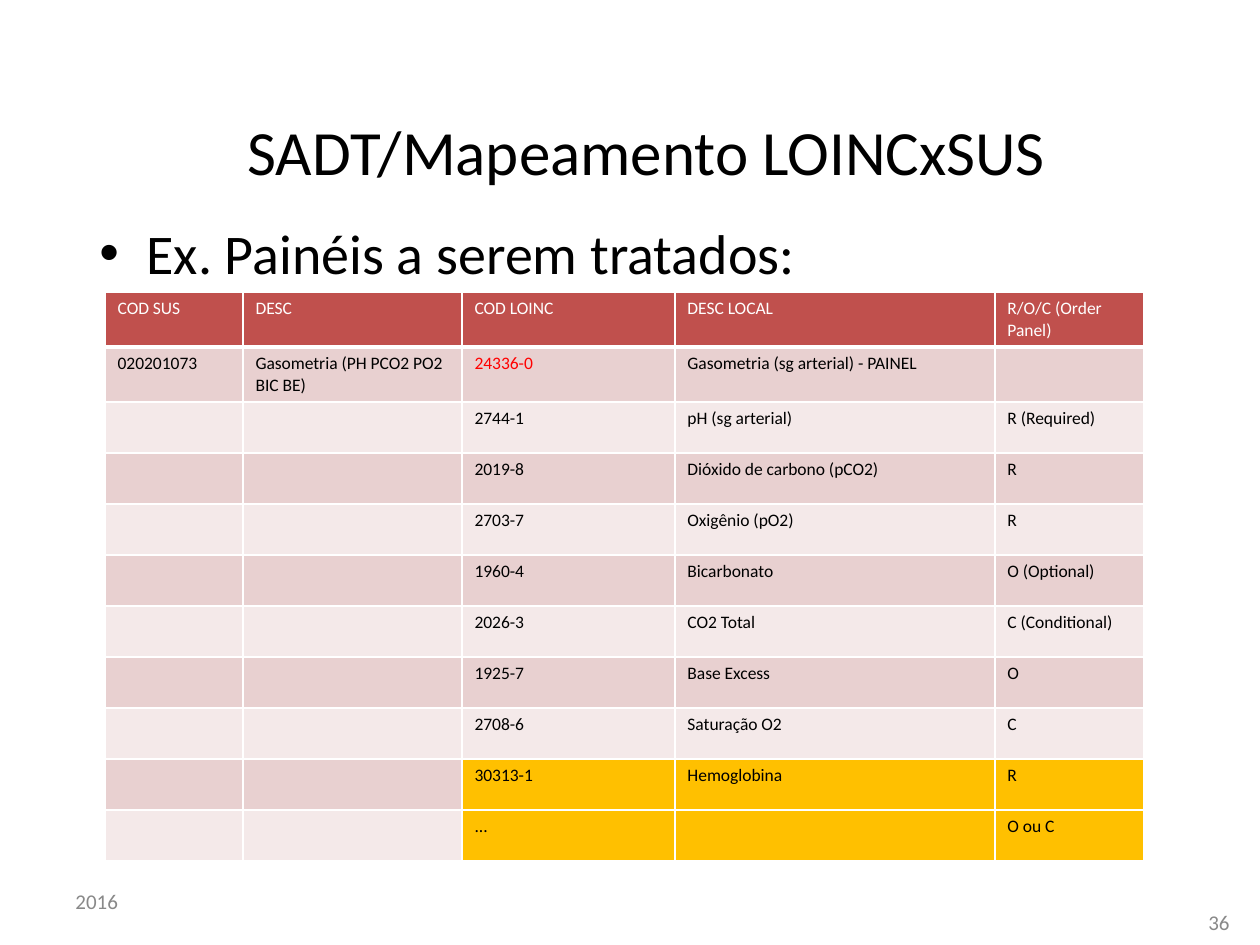
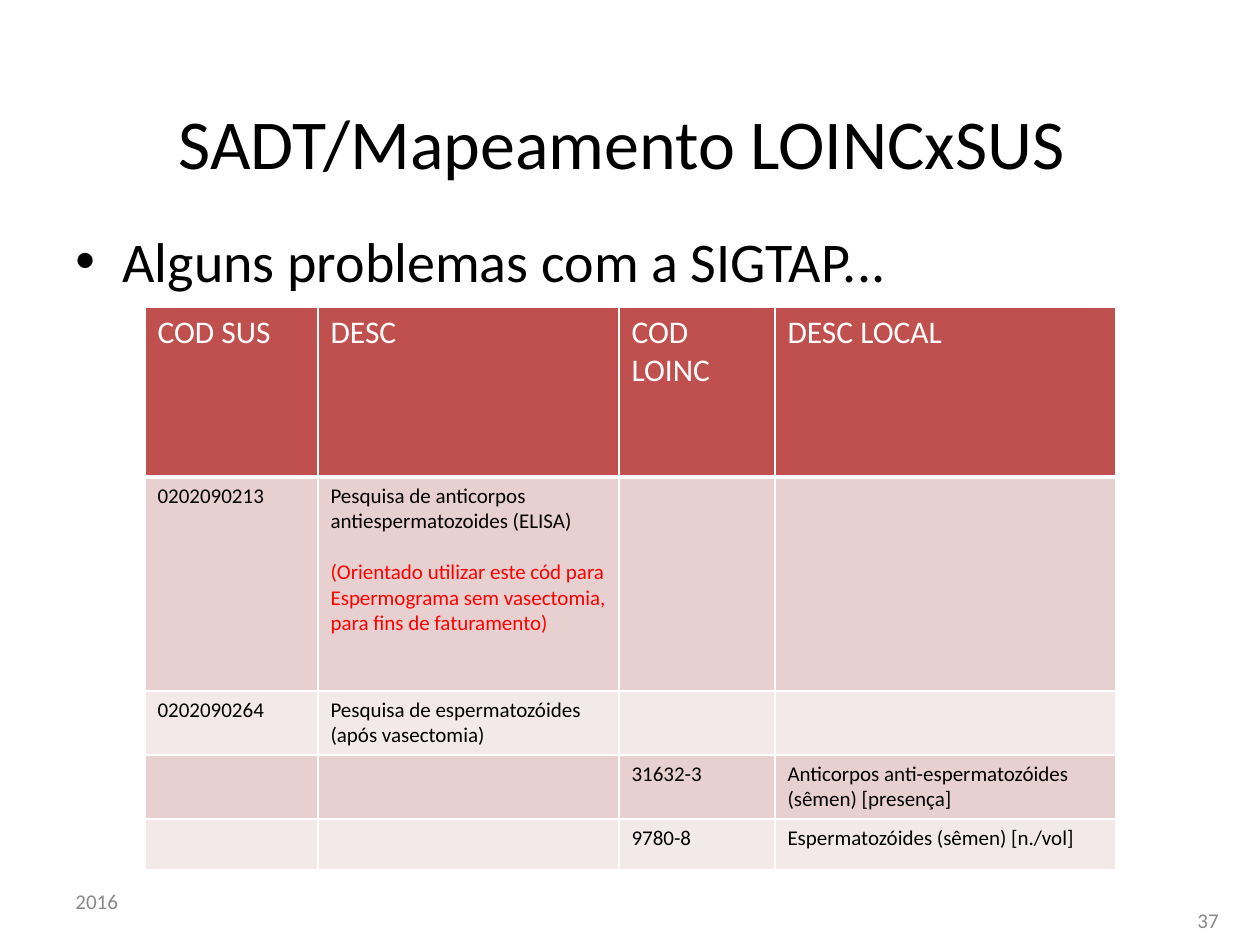
from dataclasses import dataclass

from lxml import etree
from pptx import Presentation
from pptx import util as u
from pptx.dml.color import RGBColor
from pptx.enum import text
from pptx.oxml.ns import qn

PX_PER_INCH = 126


@dataclass(frozen=True)
class Theme:
    font: str = "Calibri"
    ink: str = "000000"
    white: str = "FFFFFF"
    footer: str = "898989"
    header: str = "C0504D"
    bands: tuple = ("E8D0D0", "F4E9E9")
    highlight: str = "FFC000"
    warning: str = "FF0000"
    bullet_size: int = 32
    footer_size: int = 12
    border: int = 1
    header_border: int = 3


THEME = Theme()
TITLE = "SADT/Mapeamento LOINCxSUS "
YEAR = "2016"
BILLING_NOTE = ("(Orientado utilizar este cód para Espermograma sem vasectomia, "
                "para fins de faturamento)")
WARNINGS = {"24336-0", BILLING_NOTE}

# Boxes are (left, top, width, height) in px.
YEAR_BOX = (63, 876, 294, 50)
SLIDES = [
    {
        "title_box": (142, 102, 1023, 96), "title_size": 36,
        "bullet": "Ex. Painéis a serem tratados:", "bullet_box": (87, 212, 1134, 670),
        "number": "36", "number_box": (948, 897, 294, 50),
        "table_at": (105, 292),
        "columns": [138, 219, 213, 320, 149],
        "heights": [55, 55] + [51] * 9,
        "header_size": 10, "body_size": 10,
        "highlighted_rows": (9, 10), "highlight_from": 2,
        "rows": [
            ("COD SUS", "DESC", "COD LOINC", "DESC LOCAL", "R/O/C (Order Panel)"),
            ("020201073", "Gasometria (PH PCO2 PO2 BIC BE)", "24336-0",
             "Gasometria (sg arterial) - PAINEL", ""),
            ("", "", "2744-1", "pH (sg arterial)", "R (Required)"),
            ("", "", "2019-8", "Dióxido de carbono (pCO2)", "R"),
            ("", "", "2703-7", "Oxigênio (pO2)", "R"),
            ("", "", "1960-4", "Bicarbonato", "O (Optional)"),
            ("", "", "2026-3", "CO2 Total", "C (Conditional)"),
            ("", "", "1925-7", "Base Excess", "O"),
            ("", "", "2708-6", "Saturação O2", "C"),
            ("", "", "30313-1", "Hemoglobina", "R"),
            ("", "", "...", "", "O ou C"),
        ],
    },
    {
        "title_box": (123, 87, 1013, 108), "title_size": 40,
        "bullet": "Alguns problemas com a SIGTAP...", "bullet_box": (63, 220, 1134, 624),
        "number": "37", "number_box": (937, 895, 294, 50),
        "table_at": (145, 307),
        "columns": [173, 301, 156, 341],
        "heights": [170, 214, 64, 64, 51],
        "header_size": 18, "body_size": 12,
        "highlighted_rows": (), "highlight_from": 0,
        "rows": [
            ("COD SUS", "DESC", "COD LOINC", "DESC LOCAL"),
            ("0202090213",
             "Pesquisa de anticorpos antiespermatozoides (ELISA)\n" + BILLING_NOTE, "", ""),
            ("0202090264", "Pesquisa de espermatozóides (após vasectomia)", "", ""),
            ("", "", "31632-3", "Anticorpos anti-espermatozóides (sêmen) [presença]"),
            ("", "", "9780-8", "Espermatozóides (sêmen) [n./vol]"),
        ],
    },
]


def px(length):
    return u.Emu(round(length * u.Inches(1) / PX_PER_INCH))


def format_runs(paragraph, size, color):
    for run in paragraph.runs:
        run.font.name = THEME.font
        run.font.size = u.Pt(size)
        run.font.bold = False
        run.font.color.rgb = RGBColor.from_string(color)


def add_text(slide, box, content, size, color=THEME.ink,
             align=text.PP_ALIGN.LEFT, anchor=text.MSO_ANCHOR.MIDDLE):
    shape = slide.shapes.add_textbox(*map(px, box))
    frame = shape.text_frame
    frame.word_wrap = True
    frame.vertical_anchor = anchor
    frame.text = content
    paragraph = frame.paragraphs[0]
    paragraph.alignment = align
    format_runs(paragraph, size, color)
    return paragraph


def add_bullet(paragraph, indent=u.Inches(0.375)):
    properties = paragraph._p.get_or_add_pPr()
    properties.set("marL", str(indent))
    properties.set("indent", str(-indent))
    etree.SubElement(properties, qn("a:buFont")).set("typeface", "Arial")
    etree.SubElement(properties, qn("a:buChar")).set("char", "•")


def set_borders(cell, bottom_width):
    properties = cell._tc.get_or_add_tcPr()
    widths = {"L": THEME.border, "R": THEME.border, "T": THEME.border, "B": bottom_width}
    for side, width in widths.items():
        line = etree.SubElement(properties, qn(f"a:ln{side}"), w=str(u.Pt(width)))
        fill = etree.SubElement(line, qn("a:solidFill"))
        etree.SubElement(fill, qn("a:srgbClr"), val=THEME.white)


def cell_fill(data, row, column):
    if row == 0:
        return THEME.header
    if row in data["highlighted_rows"] and column >= data["highlight_from"]:
        return THEME.highlight
    return THEME.bands[(row - 1) % 2]


def fill_cell(cell, data, row, column):
    is_header = row == 0
    size = data["header_size"] if is_header else data["body_size"]
    set_borders(cell, THEME.header_border if is_header else THEME.border)
    cell.fill.solid()
    cell.fill.fore_color.rgb = RGBColor.from_string(cell_fill(data, row, column))
    cell.text_frame.text = data["rows"][row][column]
    for index, paragraph in enumerate(cell.text_frame.paragraphs):
        if index:
            paragraph.space_before = u.Pt(1.2 * size)
        color = THEME.white if is_header else THEME.ink
        if paragraph.text in WARNINGS:
            color = THEME.warning
        format_runs(paragraph, size, color)


def add_code_table(slide, data):
    columns, heights = data["columns"], data["heights"]
    box = (*data["table_at"], sum(columns), sum(heights))
    table = slide.shapes.add_table(len(heights), len(columns), *map(px, box)).table
    for column, width in zip(table.columns, columns):
        column.width = px(width)
    for row, height in zip(table.rows, heights):
        row.height = px(height)
    for row in range(len(heights)):
        for column in range(len(columns)):
            fill_cell(table.cell(row, column), data, row, column)


def add_mapping_slide(presentation, data):
    slide = presentation.slides.add_slide(presentation.slide_layouts[6])
    add_text(slide, data["title_box"], TITLE, data["title_size"],
             align=text.PP_ALIGN.CENTER)
    add_text(slide, YEAR_BOX, YEAR, THEME.footer_size, THEME.footer)
    add_text(slide, data["number_box"], data["number"], THEME.footer_size, THEME.footer,
             align=text.PP_ALIGN.RIGHT)
    add_bullet(add_text(slide, data["bullet_box"], data["bullet"], THEME.bullet_size,
                        anchor=text.MSO_ANCHOR.TOP))
    add_code_table(slide, data)


def main():
    presentation = Presentation()
    presentation.slide_width = u.Inches(10)
    presentation.slide_height = u.Inches(7.5)
    for data in SLIDES:
        add_mapping_slide(presentation, data)
    presentation.save("out.pptx")


if __name__ == "__main__":
    main()
